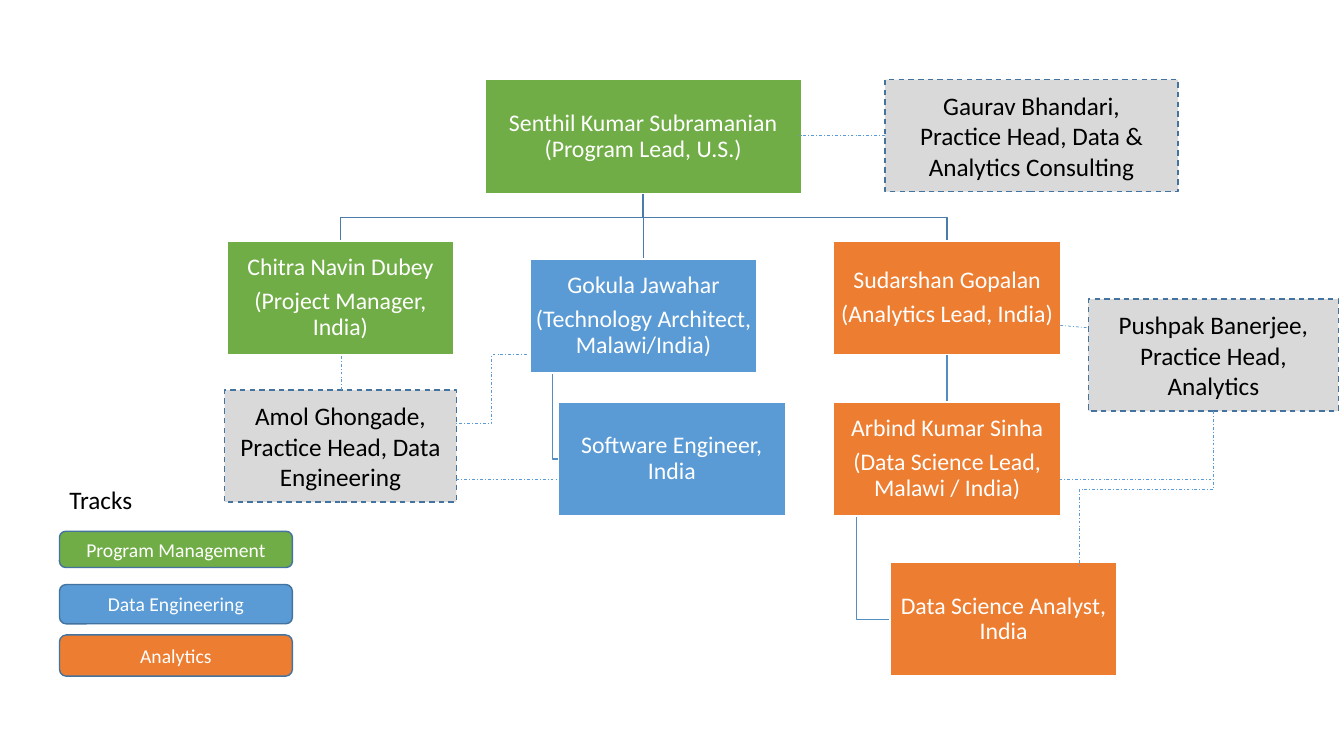
"""Build a one-page program organisation chart."""
from dataclasses import dataclass
from typing import Any, NamedTuple, Optional

from lxml import etree
from pptx import Presentation
from pptx import util as u
from pptx.dml import color
from pptx.enum import dml, shapes, text
from pptx.oxml import ns


class Stroke(NamedTuple):
    """Line colour, width in points and dash."""
    hue: str
    width: float
    dash: Any = None


class TextStyle(NamedTuple):
    """Look of the text in one kind of box."""
    size: int
    hue: str
    frame: dict
    para: dict


@dataclass(frozen=True)
class Theme:
    """Colours, strokes and type of the page."""
    font: str = "Calibri"
    management: str = "70AD47"
    engineering: str = "5B9BD5"
    analytics: str = "ED7D31"
    advisor: str = "D9D9D9"
    white: str = "FFFFFF"
    black: str = "000000"
    edge: Stroke = Stroke("FFFFFF", 1)
    border: Stroke = Stroke("43739E", 1)
    dashed: Stroke = Stroke("43739E", 1, dml.MSO_LINE.DASH)
    upper_link: Stroke = Stroke("497CAB", 1)
    lower_link: Stroke = Stroke("538DC1", 1)
    advice: Stroke = Stroke("5B9BD5", 0.5, dml.MSO_LINE.DASH_DOT)


THEME = Theme()
MIDDLE = {"word_wrap": True, "vertical_anchor": text.MSO_ANCHOR.MIDDLE}
TIGHT = {f"margin_{side}": u.Cm(0.03) for side in ("left", "top", "right", "bottom")}
CENTER = {"alignment": text.PP_ALIGN.CENTER}
MEMBER = TextStyle(17, THEME.white, MIDDLE | TIGHT,
                   CENTER | {"line_spacing": 0.9, "space_after": u.Pt(6)})
ADVISOR = TextStyle(18, THEME.black, MIDDLE, CENTER)
TRACK = TextStyle(14, THEME.white, MIDDLE, CENTER)
CAPTION = TextStyle(18, THEME.black, {"word_wrap": True}, {})

RECT = shapes.MSO_SHAPE.RECTANGLE
ROUNDED = shapes.MSO_SHAPE.ROUNDED_RECTANGLE
Point = tuple[float, float]


@dataclass(frozen=True)
class Card:
    """A filled, labelled box; lengths in centimetres."""
    lines: tuple[str, ...]
    left: float
    top: float
    fill: str
    width: float = 5.72
    height: float = 2.87
    style: TextStyle = MEMBER
    stroke: Stroke = THEME.edge
    form: Any = RECT

    @property
    def center(self) -> float:
        """Horizontal centre."""
        return self.left + self.width / 2

    @property
    def middle(self) -> float:
        """Vertical centre."""
        return self.top + self.height / 2

    @property
    def bottom(self) -> float:
        """Lower edge."""
        return self.top + self.height


def apply(target: Any, values: dict) -> None:
    """Set every format value on the target."""
    for name, value in values.items():
        setattr(target, name, value)


def rgb(hue: str) -> color.RGBColor:
    """Turn a hex string into a colour."""
    return color.RGBColor.from_string(hue)


def set_stroke(line: Any, stroke: Stroke) -> None:
    """Format a line."""
    line.color.rgb = rgb(stroke.hue)
    apply(line, {"width": u.Pt(stroke.width), "dash_style": stroke.dash})


def write(box: Any, lines: tuple[str, ...], style: TextStyle) -> None:
    """Fill a box with one paragraph per line."""
    frame = box.text_frame
    apply(frame, style.frame)
    for index, line in enumerate(lines):
        para = frame.add_paragraph() if index else frame.paragraphs[0]
        apply(para, style.para)
        span = para.add_run()
        span.text = line
        apply(span.font, {"name": THEME.font, "size": u.Pt(style.size)})
        span.font.color.rgb = rgb(style.hue)


def draw_card(page: Any, card: Card) -> None:
    """Draw a card with its text."""
    box = page.shapes.add_shape(card.form, u.Cm(card.left), u.Cm(card.top),
                                u.Cm(card.width), u.Cm(card.height))
    box.shadow.inherit = False
    box.fill.solid()
    box.fill.fore_color.rgb = rgb(card.fill)
    set_stroke(box.line, card.stroke)
    write(box, card.lines, card.style)


def draw_route(page: Any, points: list[Point], stroke: Stroke) -> None:
    """Draw an open line through the points."""
    start, *rest = [(u.Cm(x), u.Cm(y)) for x, y in points]
    builder = page.shapes.build_freeform(*start)
    builder.add_line_segments(rest, close=False)
    route = builder.convert_to_shape()
    route.shadow.inherit = False
    route.fill.background()
    set_stroke(route.line, stroke)


def draw_link(page: Any, start: Point, end: Point,
              kind: Any = shapes.MSO_CONNECTOR.STRAIGHT) -> Any:
    """Draw an advisory connector."""
    link = page.shapes.add_connector(kind, *(u.Cm(v) for v in start + end))
    set_stroke(link.line, THEME.advice)
    etree.SubElement(link._element.spPr, ns.qn("a:effectLst"))
    return link


def draw_drop(page: Any, start: Point, end: Point, preset: Optional[str] = None) -> None:
    """Draw an elbow that leaves downwards and ends to the lower left."""
    x, y = (start[0] + end[0]) / 2, (start[1] + end[1]) / 2
    half_run, half_fall = (start[0] - end[0]) / 2, (end[1] - start[1]) / 2
    link = draw_link(page, (x - half_fall, y - half_run), (x + half_fall, y + half_run),
                     shapes.MSO_CONNECTOR.ELBOW)
    properties = link._element.spPr
    properties.find(ns.qn("a:xfrm")).set("rot", "5400000")
    if preset:
        properties.find(ns.qn("a:prstGeom")).set("prst", preset)


def draw_hang(page: Any, parent: Card, child: Card) -> None:
    """Link a parent's lower left to the side of an indented child."""
    x = parent.left + parent.width / 10
    draw_route(page, [(x, parent.bottom), (x, child.middle), (child.left, child.middle)],
               THEME.lower_link)


lead = Card(("Senthil Kumar Subramanian (Program Lead, U.S.)",), 12.22, 2.01,
            THEME.management, width=7.98)
manager = Card(("Chitra Navin Dubey", "(Project Manager, India)"), 5.72, 6.07, THEME.management)
architect = Card(("Gokula Jawahar", "(Technology Architect, Malawi/India)"), 13.36, 6.53,
                 THEME.engineering)
engineer = Card(("Software Engineer, India",), 14.07, 10.13, THEME.engineering)
analytics_lead = Card(("Sudarshan Gopalan", "(Analytics Lead, India)"), 21.01, 6.07,
                      THEME.analytics)
science_lead = Card(("Arbind Kumar Sinha", "(Data Science Lead, Malawi / India)"), 21.01, 10.13,
                    THEME.analytics)
analyst = Card(("Data Science Analyst, India",), 22.43, 14.17, THEME.analytics)
members = [lead, manager, architect, engineer, analytics_lead, science_lead, analyst]

advisors = [
    Card(lines, left, top, THEME.advisor, width, 2.82, ADVISOR, THEME.dashed)
    for lines, left, top, width in [
        (("Amol Ghongade,", "Practice Head, Data Engineering"), 5.66, 9.83, 5.84),
        (("Gaurav Bhandari,", "Practice Head, Data & Analytics Consulting"), 22.3, 2.01, 7.39),
        (("Pushpak Banerjee,", "Practice Head, Analytics"), 27.43, 7.54, 6.3)]]
tracks = [
    Card((name,), 1.5, top, fill, 5.87, height, TRACK, THEME.border, ROUNDED)
    for name, top, height, fill in [
        ("Program Management", 13.39, 0.91, THEME.management),
        ("Data Engineering", 14.73, 0.99, THEME.engineering),
        ("Analytics", 16.0, 1.04, THEME.analytics)]]

deck = Presentation()
apply(deck, {"slide_width": u.Cm(33.87), "slide_height": u.Cm(19.05)})
page = deck.slides.add_slide(deck.slide_layouts[6])

bus = (lead.bottom + manager.top) / 2
for report in (analytics_lead, architect, manager):
    draw_route(page, [(lead.center, lead.bottom), (lead.center, bus),
                      (report.center, bus), (report.center, report.top)], THEME.upper_link)
draw_route(page, [(analytics_lead.center, analytics_lead.bottom),
                  (science_lead.center, science_lead.top)], THEME.lower_link)
draw_hang(page, architect, engineer)
draw_hang(page, science_lead, analyst)

for card in members + tracks + advisors:
    draw_card(page, card)
caption = page.shapes.add_textbox(u.Cm(1.5), u.Cm(12.09), u.Cm(4.72), u.Cm(1.02))
write(caption, ("Tracks",), CAPTION)

for start, end in [((11.5, 12.09), (14.07, 12.09)), ((8.59, 9.83), (8.59, 8.94)),
                   ((22.3, 3.4), (20.12, 3.4)), ((26.72, 8.2), (27.43, 8.26))]:
    draw_link(page, start, end)
draw_link(page, (13.28, 8.94), (11.5, 10.67), shapes.MSO_CONNECTOR.ELBOW)
analytics_head = advisors[-1]
source = (analytics_head.center, analytics_head.bottom)
draw_drop(page, source, (26.72, 12.09), "bentConnector2")
draw_drop(page, source, (27.2, 14.3))

deck.save("out.pptx")
